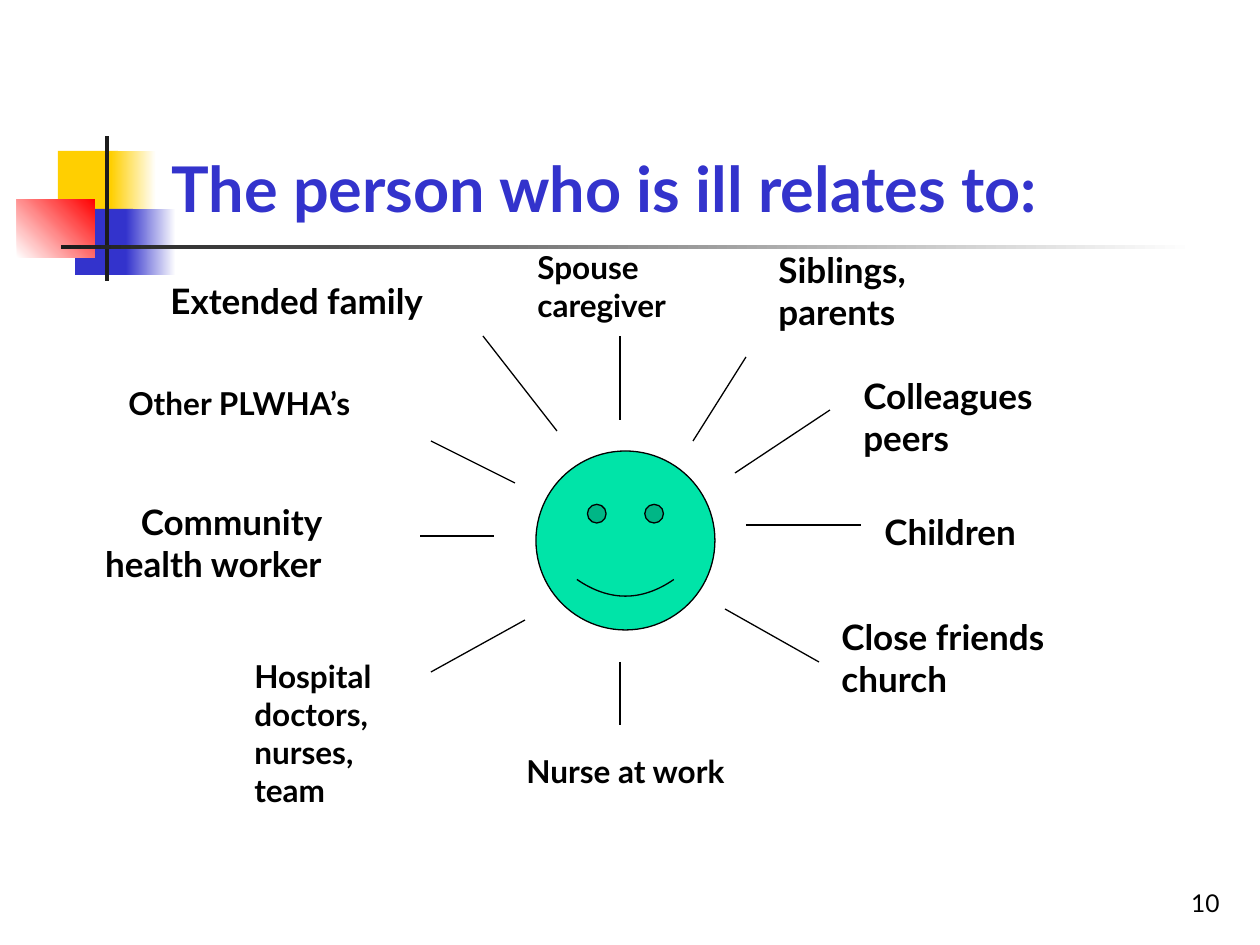
import pptx
import pptx.util
import pptx.dml.color
import pptx.enum.shapes
import pptx.enum.text
import pptx.oxml

SCALE = 914400 / 126
RGB = pptx.dml.color.RGBColor
YELLOW = RGB(0xFF, 0xCF, 0x01)
BLUE = RGB(0x33, 0x33, 0xCC)
RED = RGB(0xFF, 0x00, 0x00)
WHITE = RGB(0xFF, 0xFF, 0xFF)
BLACK = RGB(0x00, 0x00, 0x00)
CHARCOAL = RGB(0x1C, 0x1C, 0x1C)
GREEN = RGB(0x00, 0xE4, 0xA8)
SHAPE = pptx.enum.shapes.MSO_SHAPE
ANCHOR = pptx.enum.text.MSO_ANCHOR
ALIGN = pptx.enum.text.PP_ALIGN
FIT = pptx.enum.text.MSO_AUTO_SIZE


def emu(*pixels):
    return [round(pixel * SCALE) for pixel in pixels]


def add_text(place, text, size, color=BLACK, bold=True, align=ALIGN.LEFT,
             anchor=ANCHOR.TOP, fit=FIT.SHAPE_TO_FIT_TEXT):
    box = page.shapes.add_textbox(*emu(*place))
    frame = box.text_frame
    frame.word_wrap = True
    frame.auto_size = fit
    frame.vertical_anchor = anchor
    para = frame.paragraphs[0]
    para.alignment = align
    span = para.add_run()
    span.text = text
    span.font.name = "Lato"
    span.font.size = pptx.util.Pt(size)
    span.font.bold = bold
    span.font.color.rgb = color


deck = pptx.Presentation()
deck.slide_width, deck.slide_height = emu(1260, 945)
page = deck.slides.add_slide(deck.slide_layouts[6])

ornaments = [
    ((58, 151, 60, 66), YELLOW, YELLOW, 0),
    ((111, 151, 45, 66), YELLOW, WHITE, 0),
    ((75, 209, 58, 66), BLUE, BLUE, 0),
    ((126, 209, 50, 66), BLUE, WHITE, 0),
    ((17, 199, 78, 59), WHITE, RED, 45),
    ((105, 136, 4, 145), CHARCOAL, CHARCOAL, 0),
    ((61, 245, 1134, 4), CHARCOAL, WHITE, 0),
]
for place, start, end, angle in ornaments:
    block = page.shapes.add_shape(SHAPE.RECTANGLE, *emu(*place))
    block.shadow.inherit = False
    block.line.fill.background()
    if start == end:
        block.fill.solid()
        block.fill.fore_color.rgb = start
    else:
        block.fill.gradient()
        block.fill.gradient_angle = angle
        for stop, color in zip(block.fill.gradient_stops, (start, end)):
            stop.color.rgb = color

add_text((970, 861, 262, 63), "10", 14, bold=False, align=ALIGN.RIGHT,
         anchor=ANCHOR.BOTTOM, fit=FIT.NONE)
add_text((159, 29, 1074, 202), "The person who is ill relates to:", 36, BLUE,
         anchor=ANCHOR.BOTTOM, fit=FIT.NONE)

face = page.shapes.add_shape(SHAPE.SMILEY_FACE, *emu(536, 451, 179, 179))
face.shadow.inherit = False
face.fill.solid()
face.fill.fore_color.rgb = GREEN
face.line.color.rgb = BLACK
face.line.width = pptx.util.Pt(0.75)

relations = [
    ((525, 242, 231, 88), "Spouse caregiver", 18, ALIGN.LEFT),
    ((766, 242, 242, 97), "Siblings, parents", 20, ALIGN.LEFT),
    ((851, 368, 252, 97), "Colleagues peers", 20, ALIGN.LEFT),
    ((872, 504, 210, 55), "Children", 20, ALIGN.LEFT),
    ((829, 609, 305, 97), "Close friends church", 20, ALIGN.LEFT),
    ((514, 746, 273, 50), "Nurse at work", 18, ALIGN.LEFT),
    ((242, 651, 179, 164), "Hospital doctors, nurses, team", 18, ALIGN.LEFT),
    ((84, 494, 250, 97), "Community health worker", 20, ALIGN.RIGHT),
    ((116, 378, 315, 50), "Other PLWHA’s", 18, ALIGN.LEFT),
    ((158, 273, 336, 55), "Extended family", 20, ALIGN.LEFT),
]
for place, text, size, align in relations:
    add_text(place, text, size, align=align)

rays = [
    (620, 420, 620, 336),
    (693, 441, 746, 357),
    (735, 473, 830, 410),
    (746, 525, 861, 525),
    (725, 609, 819, 662),
    (620, 662, 620, 725),
    (525, 620, 431, 672),
    (494, 536, 420, 536),
    (515, 483, 431, 441),
    (557, 431, 483, 336),
]
for ends in rays:
    ray = page.shapes.add_connector(
        pptx.enum.shapes.MSO_CONNECTOR.STRAIGHT, *emu(*ends))
    ray.line.color.rgb = BLACK
    ray.line.width = pptx.util.Pt(0.75)
    ray._element.spPr.append(pptx.oxml.parse_xml(
        '<a:effectLst xmlns:a="http://schemas.openxmlformats.org/drawingml/2006/main"/>'))

deck.save("out.pptx")
